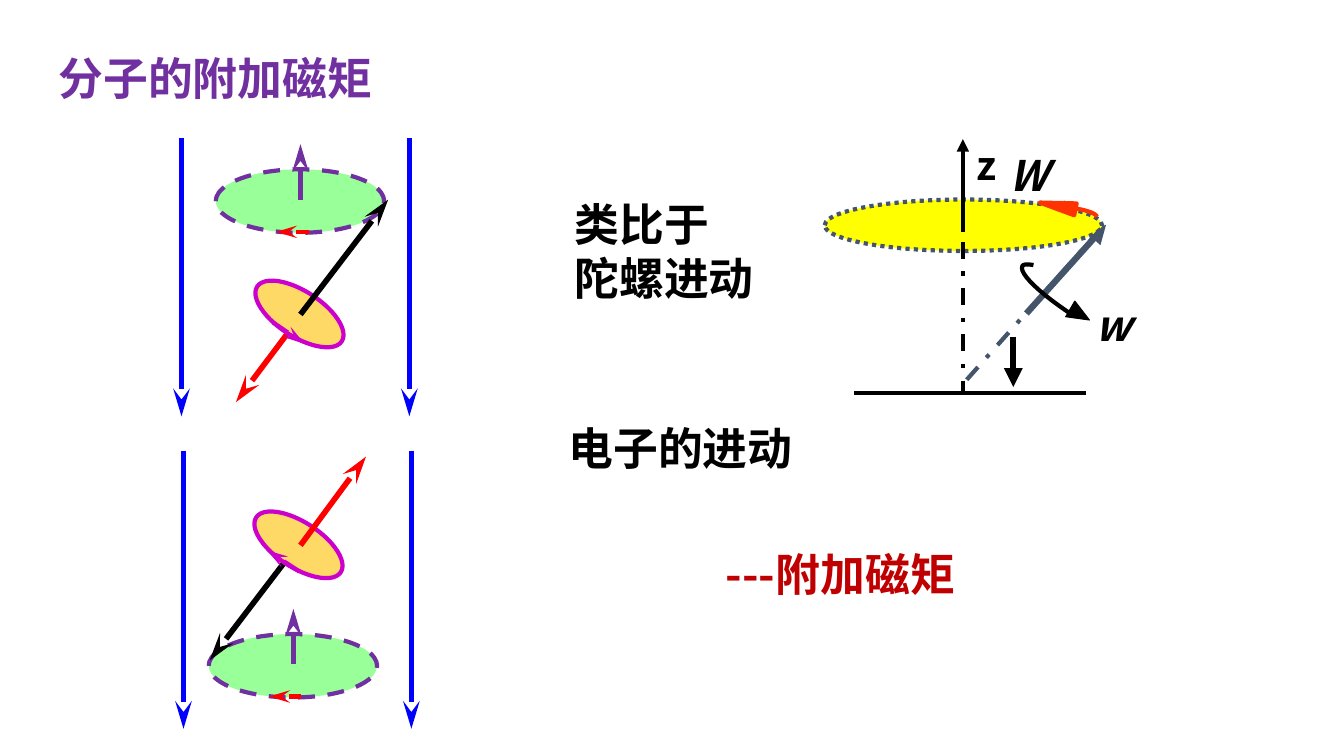
from lxml import etree
from pptx import Presentation
from pptx.dml.color import RGBColor
from pptx.enum.dml import MSO_LINE
from pptx.enum.shapes import MSO_CONNECTOR, MSO_SHAPE
from pptx.enum.text import MSO_ANCHOR, MSO_AUTO_SIZE, PP_ALIGN
from pptx.oxml.ns import qn
from pptx.util import Inches, Pt

STRAIGHT = MSO_CONNECTOR.STRAIGHT
OVAL, TRIANGLE = MSO_SHAPE.OVAL, MSO_SHAPE.ISOSCELES_TRIANGLE
DASH, DOT, DASH_DOT = MSO_LINE.DASH, MSO_LINE.ROUND_DOT, MSO_LINE.DASH_DOT
FONT = "Noto Sans CJK SC"

BLACK = RGBColor(0x00, 0x00, 0x00)
BLUE = RGBColor(0x00, 0x00, 0xFF)
RED = RGBColor(0xFF, 0x00, 0x00)
DARK_RED = RGBColor(0xC0, 0x00, 0x00)
ORANGE_RED = RGBColor(0xFF, 0x33, 0x00)
PURPLE = RGBColor(0x70, 0x30, 0xA0)
MAGENTA = RGBColor(0xCC, 0x00, 0xCC)
SLATE = RGBColor(0x44, 0x54, 0x6A)
GREEN = RGBColor(0x99, 0xFF, 0x99)
GOLD = RGBColor(0xFF, 0xD9, 0x66)
YELLOW = RGBColor(0xFF, 0xFF, 0x00)

# Content: text, box (left, top, width, height), size, colour
TITLE = ("分子的附加磁矩", (0.48, 0.45, 3.36, 0.64), 32, PURPLE)
STATEMENTS = [
    ("类比于\n陀螺进动", (5.6, 1.9, 2, 1.18), 32, BLACK),
    ("---附加磁矩", (7.1, 5.37, 2.68, 0.64), 32, DARK_RED),
    ("电子的进动", (5.54, 4.12, 2.45, 0.64), 32, BLACK),
]
# Symbols of the spinning top, with italic as the last item
SYMBOLS = [
    ("w", (10.86, 2.97, 0.21, 0.51), 30, True),
    ("z", (9.69, 1.4, 0.2, 0.47), 28, False),
    ("W", (10, 1.48, 0.76, 0.5), 30, True),
]

# Two electrons in the field; arrows are (start, end, colour)
FIELD_GAP, FIELD_LENGTH = 2.26, 2.76
ELECTRONS = [
    {"field": (1.8, 1.37), "disc": (2.14, 1.68), "orbit": (2.47, 2.89),
     "behind": ((3, 3.11), (2.34, 3.99), RED),
     "motion": ((2.71, 3.2), (3.02, 3.41), MAGENTA),
     "front": ((2.98, 3.12), (3.85, 1.98), BLACK)},
    {"field": (1.82, 4.47), "disc": (2.07, 6.29), "orbit": (2.46, 5.18),
     "behind": ((2.95, 5.41), (2.08, 6.55), BLACK),
     "motion": ((2.97, 5.67), (2.65, 5.46), MAGENTA),
     "front": ((2.98, 5.41), (3.63, 4.53), RED)},
]

# Spinning top: vertical axis, ground level and curved arrows
AXIS, GROUND = 9.55, 3.9
SPIN_CURVE = [
    ((10.66, 3.14), (10.32, 2.92), (10.1, 2.71), (10.14, 2.64)),
    ((10.14, 2.64), (10.15, 2.62), (10.19, 2.62), (10.25, 2.63)),
]
PRECESSION_CURVE = [((10.43, 2.04), (10.69, 2.06), (10.86, 2.1), (10.88, 2.15))]

presentation = Presentation()
presentation.slide_width = Inches(13.33)
presentation.slide_height = Inches(7.5)
slide = presentation.slides.add_slide(presentation.slide_layouts[5])
shapes = slide.shapes


def style_line(line, color, width, dash=None):
    line.color.rgb = color
    line.width = Pt(width)
    if dash:
        line.dash_style = dash


def add_arrowhead(shape, tag, head):
    length = "lg" if head == "stealth" else "med"
    outline = shape.line._get_or_add_ln()
    etree.SubElement(outline, qn(tag), type=head, w="med", len=length)


def add_line(start, end, color, width, head=None, dash=None):
    points = [Inches(value) for value in (*start, *end)]
    connector = shapes.add_connector(STRAIGHT, *points)
    style_line(connector.line, color, width, dash)
    if head:
        add_arrowhead(connector, "a:tailEnd", head)
    etree.SubElement(connector._element.spPr, qn("a:effectLst"))


def add_solid(kind, box, fill, outline, width, dash=None, rotation=0):
    shape = shapes.add_shape(kind, *[Inches(value) for value in box])
    shape.shadow.inherit = False
    shape.fill.solid()
    shape.fill.fore_color.rgb = fill
    style_line(shape.line, outline, width, dash)
    shape.rotation = rotation
    return shape


def add_curve(segments, color, steps=12):
    points = [segments[0][0]]
    for segment in segments:
        for step in range(1, steps + 1):
            t = step / steps
            weights = ((1 - t) ** 3, 3 * t * (1 - t) ** 2, 3 * t * t * (1 - t), t ** 3)
            points.append(tuple(sum(weight * point[axis] for weight, point in zip(weights, segment))
                                for axis in (0, 1)))
    # The builder rounds to whole units, so the points go in as EMU
    points = [(Inches(x), Inches(y)) for x, y in points]
    builder = shapes.build_freeform(*points[0], scale=1.0)
    builder.add_line_segments(points[1:], close=False)
    curve = builder.convert_to_shape()
    curve.shadow.inherit = False
    curve.fill.background()
    style_line(curve.line, color, 3)
    return curve


def write_text(shape, text, box, size, color, italic=False, inset=True):
    shape.left, shape.top, shape.width, shape.height = [Inches(value) for value in box]
    frame = shape.text_frame
    frame.text = text
    frame.word_wrap = False
    frame.auto_size = MSO_AUTO_SIZE.NONE
    frame.vertical_anchor = MSO_ANCHOR.TOP
    if not inset:
        frame.margin_left = frame.margin_right = frame.margin_top = frame.margin_bottom = 0
    for paragraph in frame.paragraphs:
        paragraph.alignment = PP_ALIGN.LEFT
        for run in paragraph.runs:
            run.font.size = Pt(size)
            run.font.bold = True
            run.font.italic = italic
            run.font.color.rgb = color
            run.font.name = FONT
            etree.SubElement(run.font._element, qn("a:ea"), typeface=FONT)


def add_text(*content, **options):
    write_text(shapes.add_textbox(0, 0, 0, 0), *content, **options)


write_text(shapes.title, *TITLE)

# Electrons precessing in the magnetic field
for electron in ELECTRONS:
    left, top = electron["disc"]
    add_solid(OVAL, (left, top, 1.67, 0.63), GREEN, PURPLE, 3, DASH)
    add_line(*electron["behind"], 4, "stealth")
    add_solid(OVAL, (*electron["orbit"], 1, 0.45), GOLD, MAGENTA, 3, rotation=32.9)
    add_line(*electron["motion"], 3, "stealth")
    add_line(*electron["front"], 4, "stealth")
    add_line((left + 0.92, top + 0.62), (left + 0.6, top + 0.62), RED, 3, "stealth")
    add_line((left + 0.84, top + 0.3), (left + 0.84, top - 0.25), PURPLE, 4, "stealth")
    field_left, field_top = electron["field"]
    for x in (field_left, field_left + FIELD_GAP):
        add_line((x, field_top), (x, field_top + FIELD_LENGTH), BLUE, 4, "stealth")

# Spinning top: body and spin
add_line((10.18, 3.11), (10.97, 2.23), SLATE, 4.5, "triangle")
add_curve(SPIN_CURVE, BLACK)
add_solid(TRIANGLE, (10.62, 3.01, 0.18, 0.22), BLACK, BLACK, 0.75, rotation=120.2)

# Spinning top: ground, precession circle and axes
add_line((10.77, GROUND), (8.47, GROUND), BLACK, 3)
add_solid(OVAL, (8.18, 1.98, 2.75, 0.51), YELLOW, SLATE, 3, DOT)
add_line((AXIS, 2.3), (AXIS, 1.38), BLACK, 3, "triangle")
add_line((10.05, 3.34), (10.05, 3.84), BLACK, 4.5, "triangle")
add_line((10.92, 2.27), (AXIS, 3.81), SLATE, 3, dash=DASH_DOT)
precession_tip = add_solid(TRIANGLE, (10.43, 1.86, 0.12, 0.36), ORANGE_RED, ORANGE_RED, 3,
                           rotation=281.9)
precession_tip.adjustments[0] = 0.44
precession = add_curve(PRECESSION_CURVE, ORANGE_RED)
add_arrowhead(precession, "a:headEnd", "triangle")
add_line((AXIS, 2.4), (AXIS, GROUND), BLACK, 3, dash=DASH_DOT)

# Labels
for text, box, size, italic in SYMBOLS:
    add_text(text, box, size, BLACK, italic=italic, inset=False)
for statement in STATEMENTS:
    add_text(*statement)

presentation.save("out.pptx")
